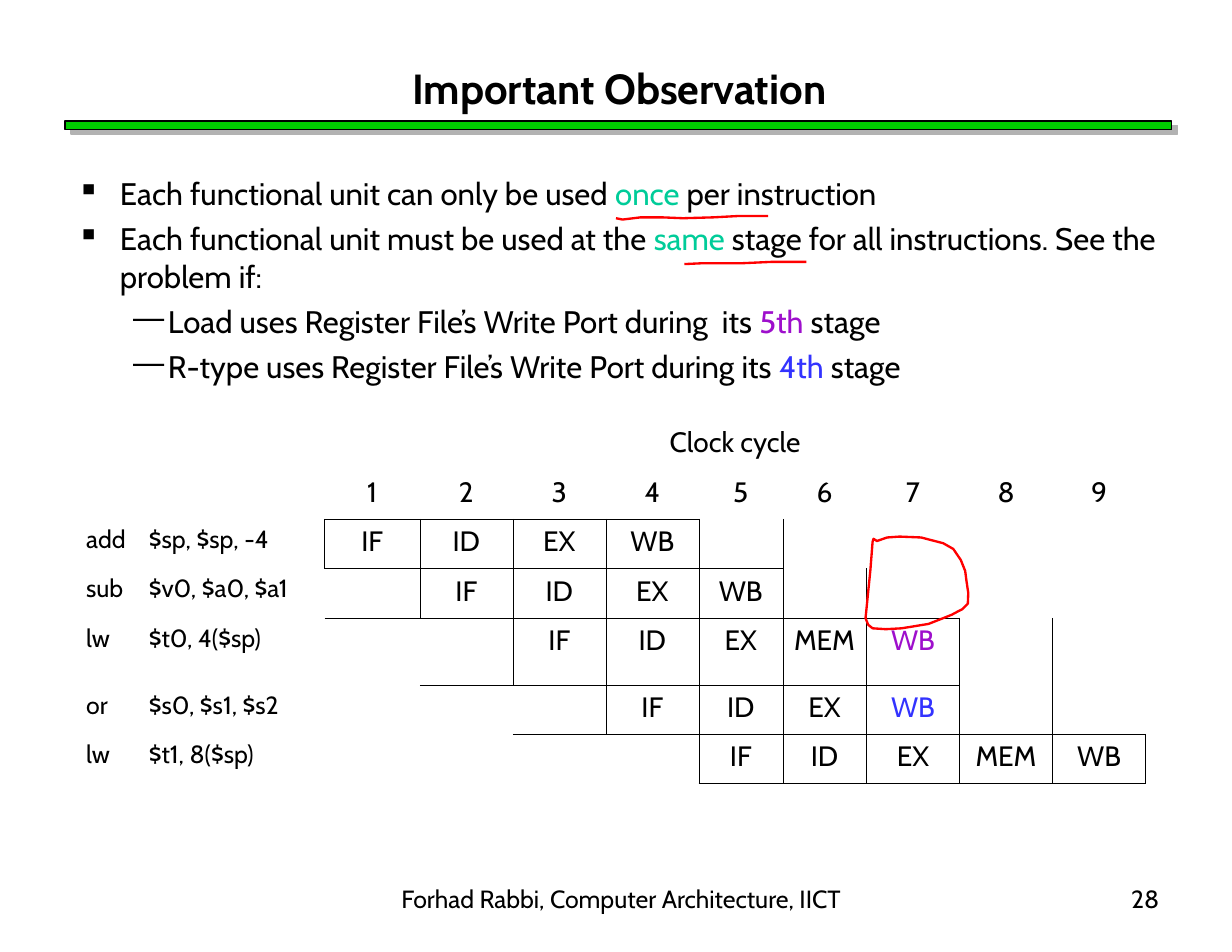
from dataclasses import dataclass

from lxml.etree import SubElement, fromstring
from pptx import Presentation
from pptx.dml.color import RGBColor
from pptx.enum.shapes import MSO_SHAPE
from pptx.enum.text import MSO_ANCHOR, MSO_AUTO_SIZE, PP_ALIGN
from pptx.oxml.ns import nsdecls, qn
from pptx.util import Cm, Pt

BLACK = RGBColor(0x00, 0x00, 0x00)
GREEN = RGBColor(0x00, 0xCC, 0x00)
TEAL = RGBColor(0x00, 0xCC, 0x99)
PURPLE = RGBColor(0x9E, 0x0F, 0xCC)
BLUE = RGBColor(0x33, 0x33, 0xFF)
RED = RGBColor(0xFF, 0x00, 0x00)
SHADOW = RGBColor(0xB2, 0xB2, 0xB2)
FONT = "Cabin"
NO_STYLE = "{2D5ABB26-0587-4C30-8999-92F81FD0307C}"
CYCLES = 9
HEADER_ROWS = 2


@dataclass
class Bullet:
    before: str
    keyword: str
    after: str
    color: RGBColor
    mark: str = "▪"
    margin: float = 0.97
    hanging: float = 0.97


@dataclass
class Instruction:
    name: str
    operands: str
    stages: list[str]
    write_color: RGBColor = BLACK


BULLETS = [
    Bullet("Each functional unit can only be used ", "once", " per instruction", TEAL),
    Bullet("Each functional unit must be used at the ", "same",
           " stage for all instructions. See the problem if:", TEAL),
    Bullet("Load uses Register File’s Write Port during  its ", "5th", " stage",
           PURPLE, "—", 2.06, 0.79),
    Bullet("R-type uses Register File’s Write Port during its ", "4th", " stage",
           BLUE, "—", 2.06, 0.79),
]
SHORT = ["IF", "ID", "EX", "WB"]
LOAD = ["IF", "ID", "EX", "MEM", "WB"]
INSTRUCTIONS = [
    Instruction("add", "$sp, $sp, -4", SHORT),
    Instruction("sub", "$v0, $a0, $a1", SHORT),
    Instruction("lw", "$t0, 4($sp)", LOAD, PURPLE),
    Instruction("or", "$s0, $s1, $s2", SHORT, BLUE),
    Instruction("lw", "$t1, 8($sp)", LOAD),
]
COLUMN_WIDTHS = [5.66, 2.16, 2.11, 2.11, 2.11, 1.9, 1.9, 2.11, 2.11, 2.11]
ROW_HEIGHTS = [1.12, 1.12, 1.12, 1.12, 1.52, 1.12, 1.12]
UNDERLINES = [
    [(1397, 495), (1412, 498), (1453, 493), (1501, 493), (1549, 495),
     (1618, 493), (1674, 490), (1742, 490)],
    [(1552, 599), (1595, 597), (1684, 597), (1750, 594), (1829, 594)],
]
LOOP = [
    [(1989, 1227), (1981, 1222), (1979, 1229), (1974, 1293), (1963, 1402),
     (1969, 1417), (1979, 1425), (2009, 1427), (2045, 1425), (2106, 1415),
     (2139, 1402), (2159, 1394), (2172, 1387), (2182, 1382), (2195, 1369),
     (2196, 1345), (2192, 1318), (2189, 1295), (2179, 1270), (2162, 1245),
     (2139, 1232), (2089, 1219), (2040, 1217), (2012, 1219), (1989, 1227)],
]


def add_run(paragraph, text: str, size: float, color: RGBColor = BLACK,
            bold: bool = False) -> None:
    run = paragraph.add_run()
    run.text = text
    run.font.name = FONT
    run.font.size = Pt(size)
    run.font.bold = bold
    run.font.color.rgb = color


def format_frame(frame, anchor=MSO_ANCHOR.TOP) -> None:
    frame.word_wrap = True
    frame.auto_size = MSO_AUTO_SIZE.NONE
    frame.vertical_anchor = anchor
    frame.margin_left = frame.margin_right = Cm(0.28)
    frame.margin_top = frame.margin_bottom = Cm(0.15)


def add_text_box(slide, left: float, top: float, width: float, height: float):
    box = slide.shapes.add_textbox(Cm(left), Cm(top), Cm(width), Cm(height))
    format_frame(box.text_frame)
    return box.text_frame


def add_footer(slide, text: str, left: float, width: float, alignment) -> None:
    paragraph = add_text_box(slide, left, 19.89, width, 1.45).paragraphs[0]
    paragraph.alignment = alignment
    add_run(paragraph, text, 16)


def add_title(slide, text: str) -> None:
    title = slide.shapes.title
    title.left, title.top, title.width, title.height = Cm(1.47), Cm(1.27), Cm(25.15), Cm(1.45)
    format_frame(title.text_frame, MSO_ANCHOR.MIDDLE)
    paragraph = title.text_frame.paragraphs[0]
    paragraph.alignment = PP_ALIGN.CENTER
    add_run(paragraph, text, 27, bold=True)


def add_title_bar(slide) -> None:
    bar = slide.shapes.add_shape(MSO_SHAPE.RECTANGLE, Cm(1.47), Cm(2.74), Cm(25.1), Cm(0.2))
    bar.fill.solid()
    bar.fill.fore_color.rgb = GREEN
    bar.line.color.rgb = BLACK
    bar.line.width = Pt(1)
    bar.shadow.inherit = False
    effects = bar._element.spPr.find(qn("a:effectLst"))
    effects.append(fromstring(
        f'<a:outerShdw {nsdecls("a")} dist="{Pt(5)}" dir="{37 * 60000}" algn="ctr" '
        f'rotWithShape="0"><a:srgbClr val="{SHADOW}"/></a:outerShdw>'))


def add_bullets(slide, bullets: list[Bullet]) -> None:
    frame = add_text_box(slide, 1.47, 3.81, 25.07, 8.25)
    for index, bullet in enumerate(bullets):
        paragraph = frame.add_paragraph() if index else frame.paragraphs[0]
        paragraph.space_before = Pt(5)
        properties = paragraph._p.get_or_add_pPr()
        properties.set("marL", str(Cm(bullet.margin)))
        properties.set("indent", str(-Cm(bullet.hanging)))
        SubElement(properties, qn("a:buChar")).set("char", bullet.mark)
        add_run(paragraph, bullet.before, 20)
        add_run(paragraph, bullet.keyword, 20, bullet.color)
        add_run(paragraph, bullet.after, 20)


def write_centered(cell, text: str, color: RGBColor = BLACK) -> None:
    paragraph = cell.text_frame.paragraphs[0]
    paragraph.alignment = PP_ALIGN.CENTER
    paragraph.space_before = Pt(4.5)
    add_run(paragraph, text, 18, color)


def write_instruction(cell, instruction: Instruction) -> None:
    paragraph = cell.text_frame.paragraphs[0]
    paragraph.space_before = Pt(4)
    tabs = SubElement(paragraph._p.get_or_add_pPr(), qn("a:tabLst"))
    tab = SubElement(tabs, qn("a:tab"))
    tab.set("pos", str(Cm(1.42)))
    tab.set("algn", "l")
    add_run(paragraph, f"{instruction.name}\t{instruction.operands}", 16)


def add_border(cell, side: str) -> None:
    cell._tc.get_or_add_tcPr().append(fromstring(
        f'<a:ln{side} {nsdecls("a")} w="{Pt(0.25)}"><a:solidFill>'
        f'<a:srgbClr val="{BLACK}"/></a:solidFill></a:ln{side}>'))


def add_pipeline(slide, instructions: list[Instruction]) -> None:
    shape = slide.shapes.add_table(len(ROW_HEIGHTS), len(COLUMN_WIDTHS), Cm(1.7), Cm(9.53),
                                   Cm(sum(COLUMN_WIDTHS)), Cm(sum(ROW_HEIGHTS)))
    table = shape.table
    table.first_row = table.horz_banding = False
    table._tbl.tblPr.find(qn("a:tableStyleId")).text = NO_STYLE
    for column, width in zip(table.columns, COLUMN_WIDTHS):
        column.width = Cm(width)
    for row, height in zip(table.rows, ROW_HEIGHTS):
        row.height = Cm(height)

    table.cell(0, 1).merge(table.cell(0, CYCLES))
    write_centered(table.cell(0, 1), "Clock cycle")
    for cycle in range(1, CYCLES + 1):
        write_centered(table.cell(1, cycle), str(cycle))
    stage_cells = set()
    for index, instruction in enumerate(instructions):
        row = index + HEADER_ROWS
        write_instruction(table.cell(row, 0), instruction)
        for column, stage in enumerate(instruction.stages, index + 1):
            color = instruction.write_color if stage == "WB" else BLACK
            write_centered(table.cell(row, column), stage, color)
            stage_cells.add((row, column))

    neighbors = {"L": (0, -1), "R": (0, 1), "T": (-1, 0), "B": (1, 0)}
    for row in range(len(ROW_HEIGHTS)):
        for column in range(len(COLUMN_WIDTHS)):
            cell = table.cell(row, column)
            for side, (down, across) in neighbors.items():
                if stage_cells & {(row, column), (row + down, column + across)}:
                    add_border(cell, side)
            cell.fill.background()


def add_pen_marks(slide, strokes: list[list[tuple[int, int]]]) -> None:
    builder = slide.shapes.build_freeform(*strokes[0][0], scale=Cm(0.01))
    builder.add_line_segments(strokes[0][1:], close=False)
    for stroke in strokes[1:]:
        builder.move_to(*stroke[0])
        builder.add_line_segments(stroke[1:], close=False)
    shape = builder.convert_to_shape()
    shape.fill.background()
    shape.line.color.rgb = RED
    shape.line.width = Pt(1.5)
    shape.shadow.inherit = False


presentation = Presentation()
presentation.slide_width, presentation.slide_height = Cm(27.94), Cm(21.59)
slide = presentation.slides.add_slide(presentation.slide_layouts[5])
add_title_bar(slide)
add_footer(slide, "28", 20.75, 5.82, PP_ALIGN.RIGHT)
add_title(slide, "Important Observation")
add_bullets(slide, BULLETS)
add_pipeline(slide, INSTRUCTIONS)
add_pen_marks(slide, UNDERLINES)
add_pen_marks(slide, LOOP)
add_footer(slide, "Forhad Rabbi, Computer Architecture, IICT", 8.69, 10.8, PP_ALIGN.CENTER)
presentation.save("out.pptx")
